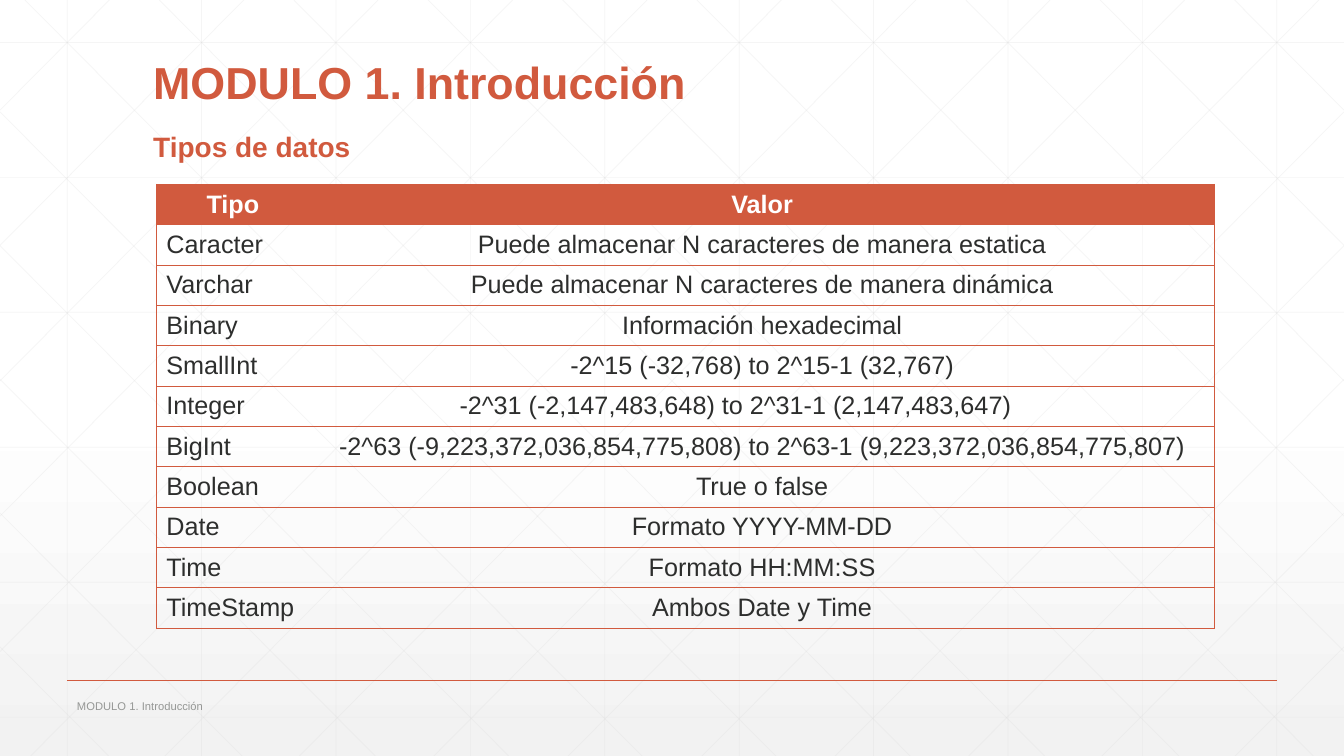
"""Build the slide that lists data types and their values."""
from lxml import etree
from pptx import Presentation
from pptx import util as u
from pptx.dml.color import RGBColor
from pptx.enum import shapes, text
from pptx.oxml import parse_xml
from pptx.oxml.ns import nsdecls, qn

ORANGE, DARK, GREY, GRID, WHITE = "D15A3E", "2D2E2D", "959795", "D9D9D9", "FFFFFF"
FONT = "Arial"
W, H = 33.87, 19.05

BACKGROUND = [(0, WHITE), (53, WHITE), (100, "F2F2F2")]
HEADINGS = [
    ("MODULO 1. Introducción", (1.69, 17.48, 17.02, 0.61), 8, GREY, False, "MIDDLE"),
    ("MODULO 1. Introducción", (3.61, 1.09, 26.67, 1.78), 32, ORANGE, True, "BOTTOM"),
    ("Tipos de datos", (3.61, 2.46, 26.67, 1.78), 20, ORANGE, True, "BOTTOM"),
]
ROWS = [
    ("Tipo", "Valor"),
    ("Caracter", "Puede almacenar N caracteres de manera estatica"),
    ("Varchar", "Puede almacenar N caracteres de manera dinámica"),
    ("Binary", "Información hexadecimal"),
    ("SmallInt", "-2^15 (-32,768) to 2^15-1 (32,767)"),
    ("Integer", "-2^31 (-2,147,483,648) to 2^31-1 (2,147,483,647)"),
    ("BigInt", "-2^63 (-9,223,372,036,854,775,808) to 2^63-1 (9,223,372,036,854,775,807)"),
    ("Boolean", "True o false"),
    ("Date", "Formato YYYY-MM-DD"),
    ("Time", "Formato HH:MM:SS"),
    ("TimeStamp", "Ambos Date y Time"),
]
RIGHT_MARGINS = {"Integer": 1.6}
TABLE_LEFT, TABLE_TOP, ROW_HEIGHT = 3.94, 4.64, 1
COLUMNS = (3.86, 22.81)


def color(value):
    return RGBColor.from_string(value)


def set_font(p, size, value, bold=False):
    p.font.name, p.font.size, p.font.bold = FONT, u.Pt(size), bold
    p.font.color.rgb = color(value)


def add_line(s, x1, y1, x2, y2, value, width, alpha=None):
    ln = s.shapes.add_connector(
        shapes.MSO_CONNECTOR.STRAIGHT, *(u.Cm(v) for v in (x1, y1, x2, y2)))
    ln.line.color.rgb = color(value)
    ln.line.width = u.Pt(width)
    etree.SubElement(ln._element.spPr, qn("a:effectLst"))
    if alpha:
        clr = next(ln._element.spPr.iter(qn("a:srgbClr")))
        etree.SubElement(clr, qn("a:alpha")).set("val", str(alpha * 1000))


def grid_lines():
    step, slant = W / 10, 18.92
    lines = [(x, 0, x, H) for x in (step * (k + 0.5) for k in range(10))]
    lines += [(0, y, W, y) for y in (1.07 + 3.4 * k for k in range(6))]
    diagonals = []
    for k in range(10):
        x = 0.63 + step * k
        end = min(x + slant, W)
        diagonals.append((x, 0, end, (end - x) * H / slant))
    diagonals += [(0, 2.82 + 3.37 * k, 16.18 - 3.36 * k, H) for k in range(5)]
    mirrored = [(W - x1, y1, W - x2, y2) for x1, y1, x2, y2 in diagonals]
    return lines + diagonals + mirrored


def set_background(s):
    fill = s.background.fill
    fill.gradient()
    fill.gradient_angle = 270
    stops = next(s.background._cSld.iter(qn("a:gsLst")))
    for stop in list(stops):
        stops.remove(stop)
    for pos, value in BACKGROUND:
        stops.append(parse_xml(
            f'<a:gs {nsdecls("a")} pos="{pos * 1000}"><a:srgbClr val="{value}"/></a:gs>'))


def set_borders(cell, sides):
    tc_pr = cell._tc.get_or_add_tcPr()
    for side in "LRTB":
        paint = (f'<a:solidFill><a:srgbClr val="{ORANGE}"/></a:solidFill>'
                 if side in sides else "<a:noFill/>")
        tc_pr.append(parse_xml(
            f'<a:ln{side} {nsdecls("a")} w="{u.Pt(0.5)}">{paint}</a:ln{side}>'))


def add_heading(s, words, box, size, value, bold, anchor):
    tf = s.shapes.add_textbox(*(u.Cm(v) for v in box)).text_frame
    tf.word_wrap = True
    tf.vertical_anchor = text.MSO_ANCHOR[anchor]
    p = tf.paragraphs[0]
    p.text = words
    if bold:
        p.line_spacing = 0.9
    set_font(p, size, value, bold)


def add_types_table(s):
    tbl = s.shapes.add_table(
        len(ROWS), len(COLUMNS), u.Cm(TABLE_LEFT), u.Cm(TABLE_TOP),
        u.Cm(sum(COLUMNS)), u.Cm(ROW_HEIGHT * len(ROWS))).table
    tbl.horz_banding = False
    for col, width in zip(tbl.columns, COLUMNS):
        col.width = u.Cm(width)
    for i, row in enumerate(ROWS):
        tbl.rows[i].height = u.Cm(ROW_HEIGHT)
        for j, words in enumerate(row):
            cell = tbl.cell(i, j)
            set_borders(cell, "LTB" if j == 0 else "RTB")
            cell.vertical_anchor = text.MSO_ANCHOR.MIDDLE
            p = cell.text_frame.paragraphs[0]
            p.text = words
            if i == 0 or j == 1:
                p.alignment = text.PP_ALIGN.CENTER
            if i == 0:
                cell.fill.solid()
                cell.fill.fore_color.rgb = color(ORANGE)
            else:
                cell.fill.background()
            set_font(p, 18, DARK if i else WHITE, i == 0)
        if row[0] in RIGHT_MARGINS:
            tbl.cell(i, 1).margin_right = u.Cm(RIGHT_MARGINS[row[0]])


def main():
    prs = Presentation()
    prs.slide_width, prs.slide_height = u.Cm(W), u.Cm(H)
    s = prs.slides.add_slide(prs.slide_layouts[6])
    set_background(s)
    for ends in grid_lines():
        add_line(s, *ends, GRID, 0.5, 25)
    add_line(s, W * 0.05, 17.15, W * 0.95, 17.15, ORANGE, 1)
    for heading in HEADINGS:
        add_heading(s, *heading)
    add_types_table(s)
    prs.save("out.pptx")


if __name__ == "__main__":
    main()
